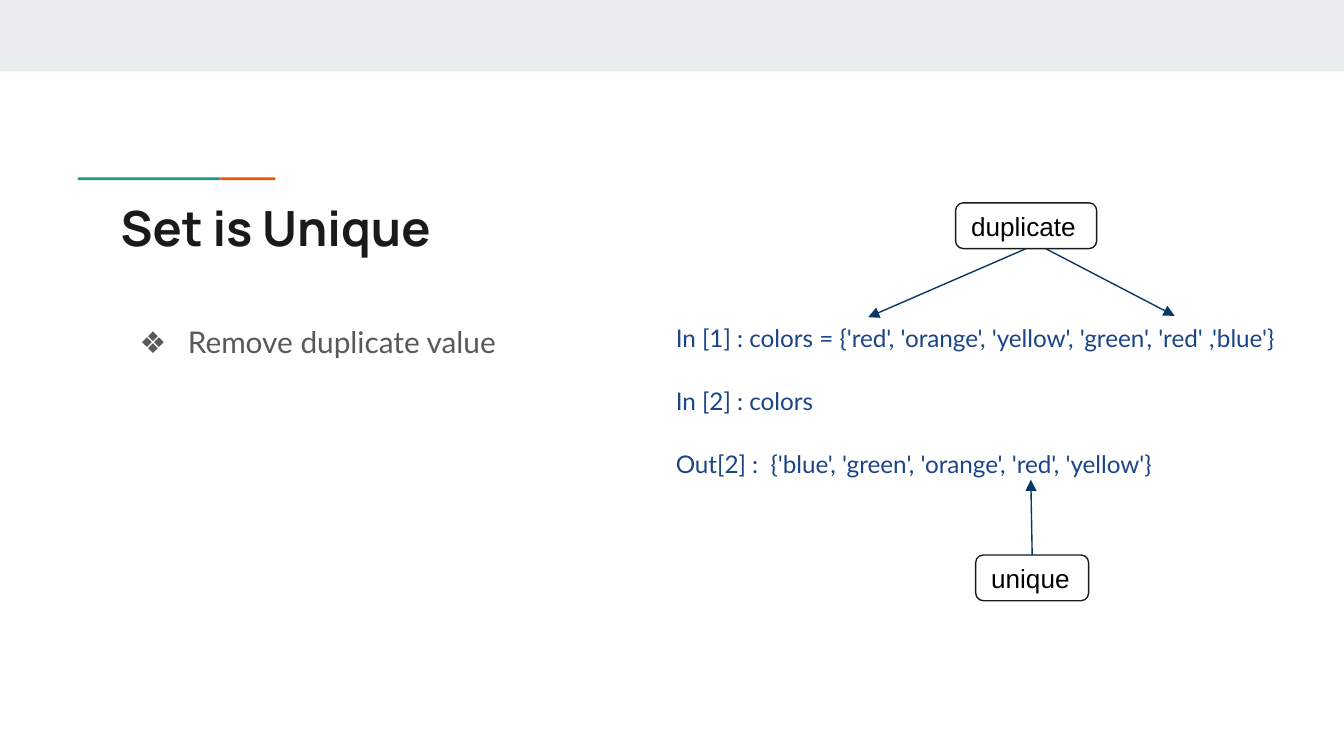
"""Build the slide that shows how a set keeps only unique values."""
from lxml.etree import SubElement
from pptx import Presentation
from pptx.dml.color import RGBColor
from pptx.enum.shapes import MSO_CONNECTOR, MSO_SHAPE
from pptx.enum.text import MSO_ANCHOR, PP_ALIGN
from pptx.oxml.ns import qn
from pptx.util import Inches, Pt

BANDS = [
    ((0, 0, 10, 0.53), "E9EDEE"),
    ((0.58, 1.32, 1.06, 0.02), "1A9988"),
    ((1.64, 1.32, 0.41, 0.02), "EB5600"),
]
TEXTS = [
    ((0.8, 1.37, 8.41, 0.59), ["Set is Unique"],
     dict(font="Manrope", size=26, color="1A1A1A", bold=True)),
    ((0.8, 2.27, 4.13, 2.47), ["Remove duplicate value"],
     dict(font="Lato", size=16, color="595959", spacing=1.15, bullet="❖")),
    ((4.93, 2.27, 4.75, 2.47),
     ["In [1] : colors = {'red', 'orange', 'yellow', 'green', 'red' ,'blue'}",
      "In [2] : colors",
      "Out[2] :  {'blue', 'green', 'orange', 'red', 'yellow'}"],
     dict(font="Lato", size=13, color="1C4587", spacing=1.15, gap=16)),
]
LABELS = {
    "duplicate": (7.11, 1.51, 1.05, 0.34),
    "unique": (7.26, 4.13, 0.84, 0.34),
}
ARROWS = [
    ((7.64, 1.85), (6.46, 2.36), ("duplicate", 2)),
    ((7.78, 1.85), (8.74, 2.35), None),
    ((7.68, 4.13), (7.67, 3.57), ("unique", 0)),
]


def rgb(color):
    """Turn a hex string into a colour."""
    return RGBColor.from_string(color)


def add_bullet(para, bullet, font, color):
    """Give a paragraph a hanging bullet."""
    properties = para._p.get_or_add_pPr()
    properties.set("marL", str(Inches(0.5)))
    properties.set("indent", str(Inches(-0.36)))
    tint = SubElement(properties, qn("a:buClr"))
    SubElement(tint, qn("a:srgbClr"), val=color)
    SubElement(properties, qn("a:buFont"), typeface=font)
    SubElement(properties, qn("a:buChar"), char=bullet)


def write(box, lines, *, font, size, color, bold=False, spacing=1.0, gap=0,
          bullet=None, anchor=MSO_ANCHOR.TOP):
    """Fill a box with one formatted paragraph per line."""
    frame = box.text_frame
    frame.word_wrap = True
    frame.vertical_anchor = anchor
    frame.margin_left = frame.margin_right = Inches(0.1)
    frame.margin_top = frame.margin_bottom = Inches(0.1)
    for index, line in enumerate(lines):
        para = frame.add_paragraph() if index else frame.paragraphs[0]
        para.alignment = PP_ALIGN.LEFT
        para.line_spacing = spacing
        para.space_before = Pt(gap if index else 0)
        span = para.add_run()
        span.text = line
        span.font.name = font
        span.font.size = Pt(size)
        span.font.bold = bold
        span.font.color.rgb = rgb(color)
        if bullet:
            add_bullet(para, bullet, font, color)


def add_box(page, kind, place, fill, line=None):
    """Add a flat filled shape, outlined if a line colour is given."""
    box = page.shapes.add_shape(kind, *map(Inches, place))
    box.shadow.inherit = False
    box.fill.solid()
    box.fill.fore_color.rgb = rgb(fill)
    if line:
        box.line.color.rgb = rgb(line)
        box.line.width = Pt(0.75)
    else:
        box.line.fill.background()
    return box


def add_arrow(page, start, end):
    """Add a thin arrow that points at its end."""
    arrow = page.shapes.add_connector(
        MSO_CONNECTOR.STRAIGHT, *map(Inches, start + end))
    arrow.line.color.rgb = rgb("073763")
    arrow.line.width = Pt(0.75)
    SubElement(arrow.line._get_or_add_ln(), qn("a:tailEnd"), type="triangle")
    SubElement(arrow._element.spPr, qn("a:effectLst"))
    return arrow


def main():
    """Lay out the slide and save it."""
    deck = Presentation()
    deck.slide_width = Inches(10)
    deck.slide_height = deck.slide_width * 9 // 16
    page = deck.slides.add_slide(deck.slide_layouts[6])
    for place, fill in BANDS:
        add_box(page, MSO_SHAPE.RECTANGLE, place, fill)
    for place, lines, style in TEXTS:
        write(page.shapes.add_textbox(*map(Inches, place)), lines, **style)
    boxes = {}
    for label, place in LABELS.items():
        boxes[label] = add_box(page, MSO_SHAPE.FLOWCHART_ALTERNATE_PROCESS,
                               place, "FFFFFF", "1A1A1A")
        write(boxes[label], [label], font="Arial", size=14, color="000000",
              anchor=MSO_ANCHOR.MIDDLE)
    for start, end, joint in ARROWS:
        arrow = add_arrow(page, start, end)
        if joint:
            label, side = joint
            arrow.begin_connect(boxes[label], side)
    deck.save("out.pptx")


if __name__ == "__main__":
    main()
